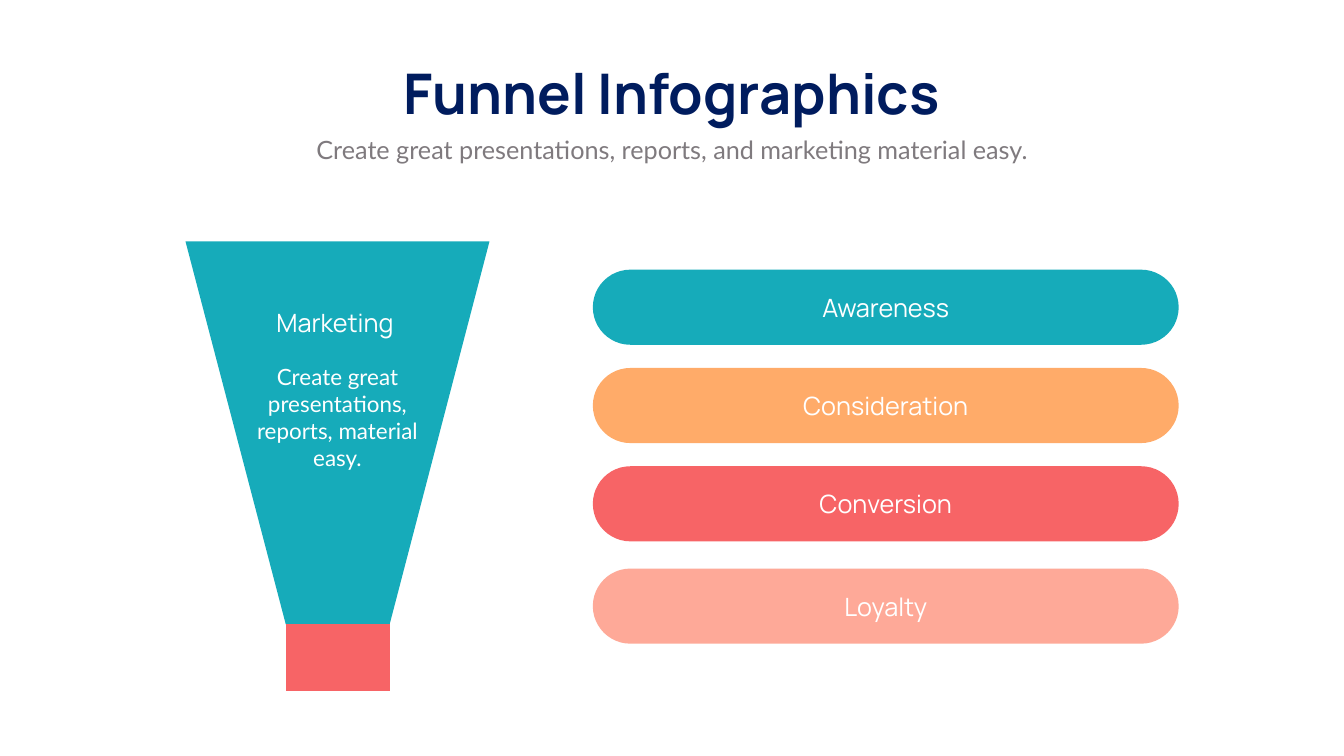
from dataclasses import dataclass

from pptx import Presentation
from pptx.dml.color import RGBColor
from pptx.enum.shapes import MSO_SHAPE
from pptx.enum.text import MSO_ANCHOR, MSO_AUTO_SIZE, PP_ALIGN
from pptx.util import Inches, Pt


@dataclass(frozen=True)
class Theme:
    navy: str = "001C5E"
    gray: str = "7F7A7E"
    white: str = "FFFFFF"
    teal: str = "16ABBA"
    orange: str = "FFAB69"
    red: str = "F76466"
    pink: str = "FEA998"
    heading_font: str = "Manrope"
    body_font: str = "Lato"
    title_size: int = 80
    label_size: int = 36
    body_size: int = 32


@dataclass(frozen=True)
class Box:
    left: int
    top: int
    width: int
    height: int

    def point(self, x, y):
        return (round(self.left + self.width * x / 100),
                round(self.top + self.height * y / 100))

    def share(self, x, y, width, height):
        return Box(*self.point(x, y), round(self.width * width / 100),
                   round(self.height * height / 100))

    def bounds(self):
        return self.left, self.top, self.width, self.height


THEME = Theme()
STAGES = [
    ("Awareness", THEME.teal, 0),
    ("Consideration", THEME.orange, 26.28),
    ("Conversion", THEME.red, 52.56),
    ("Loyalty", THEME.pink, 79.92),
]


def write(shape, text, font_name, size, color, bold=False,
          anchor=MSO_ANCHOR.TOP, wrap=True):
    frame = shape.text_frame
    frame.word_wrap = wrap
    frame.auto_size = MSO_AUTO_SIZE.NONE
    frame.vertical_anchor = anchor
    paragraph = frame.paragraphs[0]
    paragraph.alignment = PP_ALIGN.CENTER
    run = paragraph.add_run()
    run.text = text
    run.font.name = font_name
    run.font.size = Pt(size)
    run.font.bold = bold
    run.font.color.rgb = RGBColor.from_string(color)


def paint(shape, color):
    shape.shadow.inherit = False
    shape.fill.solid()
    shape.fill.fore_color.rgb = RGBColor.from_string(color)
    shape.line.fill.background()


def add_polygon(slide, box, corners, color):
    points = [box.point(*corner) for corner in corners]
    builder = slide.shapes.build_freeform(*points[0])
    builder.add_line_segments(points[1:], close=True)
    paint(builder.convert_to_shape(), color)


def add_header(slide, box):
    title = slide.shapes.title
    title.left, title.top, title.width, title.height = box.share(
        21.85, 0, 56.24, 65.91).bounds()
    write(title, "Funnel Infographics", THEME.heading_font, THEME.title_size,
          THEME.navy, bold=True, wrap=False)
    subtitle = slide.shapes.add_textbox(*box.share(0, 67.73, 100, 32.27).bounds())
    write(subtitle, "Create great presentations, reports, and marketing material easy.",
          THEME.body_font, THEME.label_size, THEME.gray)


def add_funnel(slide, box):
    neck_left, neck_right, neck_top = 33, 67.16, 85.1
    add_polygon(slide, box, [(0, 0), (100, 0), (neck_right, neck_top),
                             (neck_left, neck_top)], THEME.teal)
    add_polygon(slide, box, [(neck_left, neck_top), (neck_right, neck_top),
                             (neck_right, 100), (neck_left, 100)], THEME.red)
    heading = slide.shapes.add_textbox(*box.share(24.38, 14, 49.59, 7.95).bounds())
    write(heading, "Marketing", THEME.heading_font, THEME.label_size, THEME.white)
    body = slide.shapes.add_textbox(*box.share(20.56, 26.54, 58.87, 25.31).bounds())
    write(body, "Create great presentations, reports, material easy.",
          THEME.body_font, THEME.body_size, THEME.white)


def add_stages(slide, box):
    for label, color, top in STAGES:
        pill = slide.shapes.add_shape(MSO_SHAPE.ROUNDED_RECTANGLE,
                                      *box.share(0, top, 100, 20.08).bounds())
        pill.adjustments[0] = 0.5
        paint(pill, color)
        write(pill, label, THEME.heading_font, THEME.label_size, THEME.white,
              anchor=MSO_ANCHOR.MIDDLE)


def main():
    presentation = Presentation()
    presentation.slide_width = Inches(26.66)
    presentation.slide_height = Inches(15)
    slide = presentation.slides.add_slide(presentation.slide_layouts[5])
    page = Box(0, 0, presentation.slide_width, presentation.slide_height)
    add_header(slide, page.share(10.95, 7.47, 78.1, 14.67))
    add_funnel(slide, page.share(13.8, 31.93, 22.62, 59.53))
    add_stages(slide, page.share(44.11, 35.67, 43.59, 49.47))
    presentation.save("out.pptx")


if __name__ == "__main__":
    main()
